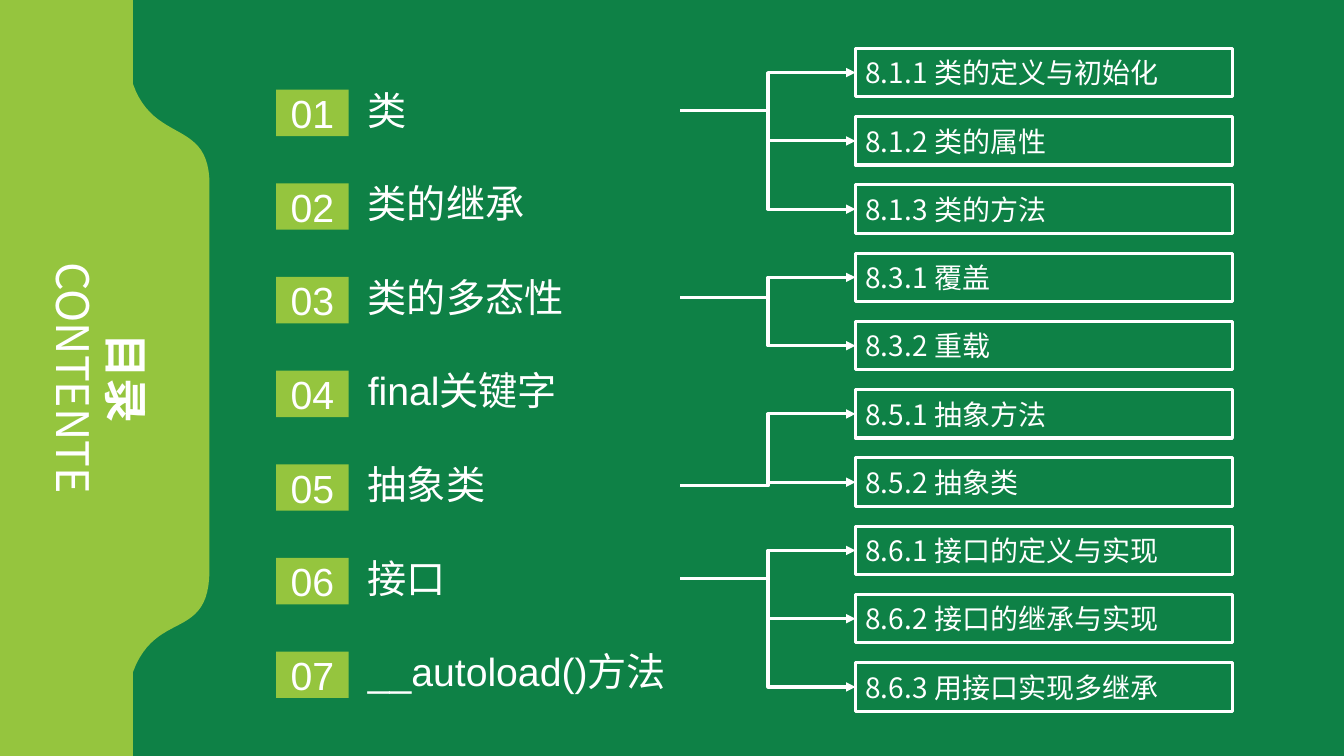
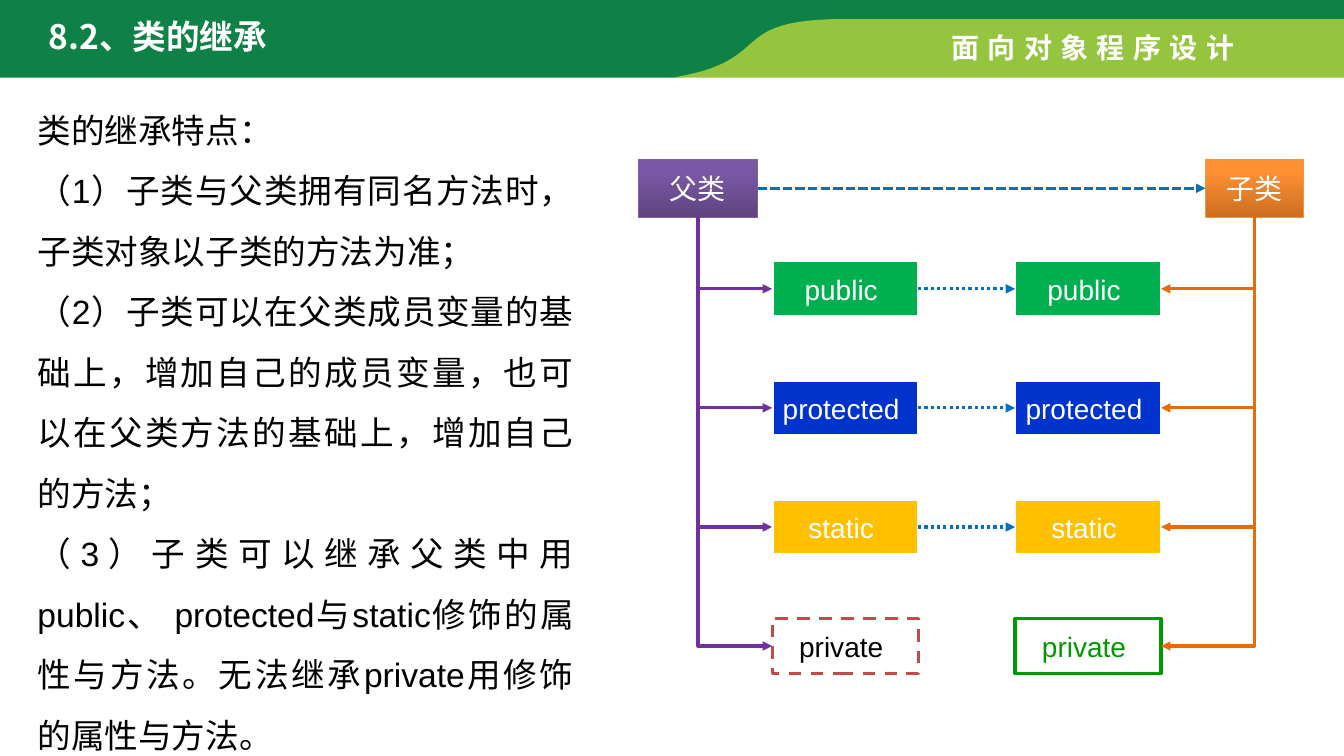
from lxml import etree
from pptx import Presentation
from pptx.dml.color import RGBColor
from pptx.enum.dml import MSO_LINE
from pptx.enum.shapes import MSO_CONNECTOR, MSO_SHAPE
from pptx.enum.text import MSO_ANCHOR, MSO_AUTO_SIZE, PP_ALIGN
from pptx.oxml.ns import qn
from pptx.util import Cm, Pt

# Shared look
DARK_GREEN = RGBColor(0x0E, 0x81, 0x46)
LIGHT_GREEN = RGBColor(0x95, 0xC5, 0x3E)
WHITE = RGBColor(0xFF, 0xFF, 0xFF)
BLACK = RGBColor(0x00, 0x00, 0x00)
GREEN = RGBColor(0x00, 0xB0, 0x50)
BLUE = RGBColor(0x00, 0x33, 0xCC)
YELLOW = RGBColor(0xFF, 0xC0, 0x00)
RED = RGBColor(0xBF, 0x4C, 0x48)
LEAF = RGBColor(0x00, 0x99, 0x00)
PURPLE = RGBColor(0x70, 0x30, 0xA0)
ORANGE = RGBColor(0xE4, 0x6C, 0x0A)
SKY = RGBColor(0x00, 0x70, 0xC0)
PARENT_GRADIENT = (RGBColor(0x5F, 0x44, 0x80), RGBColor(0x7B, 0x58, 0xA6))
PARENT_EDGE = RGBColor(0x7D, 0x60, 0xA0)
CHILD_GRADIENT = (RGBColor(0xCC, 0x6E, 0x20), RGBColor(0xFF, 0x90, 0x34))
CHILD_EDGE = RGBColor(0xF6, 0x92, 0x40)
LATIN_FONT = "Arial"
CHINESE_FONT = "Noto Sans CJK SC"

LEFT, CENTER, JUSTIFY = PP_ALIGN.LEFT, PP_ALIGN.CENTER, PP_ALIGN.JUSTIFY
TOP, MIDDLE = MSO_ANCHOR.TOP, MSO_ANCHOR.MIDDLE
NO_FIT = MSO_AUTO_SIZE.NONE
RECTANGLE = MSO_SHAPE.RECTANGLE
STRAIGHT, ELBOW = MSO_CONNECTOR.STRAIGHT, MSO_CONNECTOR.ELBOW
DASH, SHORT_DASH, DOTS = MSO_LINE.DASH, MSO_LINE.SQUARE_DOT, MSO_LINE.ROUND_DOT
SIDE_LEFT, SIDE_BOTTOM, SIDE_RIGHT = 1, 2, 3

SLIDE_WIDTH, SLIDE_HEIGHT = 33.87, 19.05

# Outlines in cm: a pair is a corner, six numbers are a Bézier curve
SIDE_BAND = [
    (0, 0), (3.35, 0), (3.35, 2.11), (3.89, 3.66, 5.31, 2.97, 5.28, 4.7),
    (5.28, 14.35), (5.28, 16.18, 3.94, 15.34, 3.35, 16.94),
    (3.35, SLIDE_HEIGHT), (0, SLIDE_HEIGHT),
]
HEADER_BAND = [
    (0, 0), (SLIDE_WIDTH, 0), (SLIDE_WIDTH, 0.61), (21.01, 0.61), (20.55, 0.71),
    (18.47, 1.12, 19.56, 1.96, 16.64, 1.96), (0, 1.96),
]
HEADER_ACCENT = [
    (21.31, 0.48), (SLIDE_WIDTH, 0.48), (SLIDE_WIDTH, 1.96), (16.94, 1.96),
    (19.63, 1.52, 18.21, 0.48, 21.31, 0.48),
]

# Contents slide: chapters with their sections
CHAPTERS = [
    ("类", ["8.1.1 类的定义与初始化", "8.1.2 类的属性", "8.1.3 类的方法"]),
    ("类的继承", []),
    ("类的多态性", ["8.3.1 覆盖", "8.3.2 重载"]),
    ("final关键字", []),
    ("抽象类", ["8.5.1 抽象方法", "8.5.2 抽象类"]),
    ("接口", ["8.6.1 接口的定义与实现", "8.6.2 接口的继承与实现", "8.6.3 用接口实现多继承"]),
    ("__autoload()方法", []),
]

# Inheritance slide
COURSE = "面向对象程序设计"
INHERITANCE_TITLE = "8.2、类的继承"
FEATURES = [
    "类的继承特点：",
    "（1）子类与父类拥有同名方法时，子类对象以子类的方法为准；",
    "（2）子类可以在父类成员变量的基础上，增加自己的成员变量，也可以在父类方法的基础上，增加自己的方法；",
    "（3）子类可以继承父类中用public、 protected与static修饰的属性与方法。无法继承private用修饰的属性与方法。",
]
# Name, fill, inherited
MEMBERS = [
    ("public", GREEN, True),
    ("protected", BLUE, True),
    ("static", YELLOW, True),
    ("private", None, False),
]
# Name, left, width, gradient, edge, member left, member side, branch colour,
# then edge, dash and text colour of the private member
CLASSES = [
    ("父类", 16.08, 3.02, PARENT_GRADIENT, PARENT_EDGE, 19.46, SIDE_LEFT, PURPLE,
     (RED, DASH, BLACK)),
    ("子类", 30.38, 2.46, CHILD_GRADIENT, CHILD_EDGE, 25.58, SIDE_RIGHT, ORANGE,
     (LEAF, None, LEAF)),
]


def cm_box(*lengths):
    return [Cm(length) for length in lengths]


def add_run(paragraph, text, size, color=WHITE, font=LATIN_FONT, bold=False):
    run = paragraph.add_run()
    run.text = text
    run.font.size, run.font.bold, run.font.name = Pt(size), bold, font
    run.font.color.rgb = color
    properties = run.font._element
    properties.set("lang", "zh-CN")
    etree.SubElement(properties, qn("a:ea")).set("typeface", font)
    return run


def place(placeholder, left, top, width, height):
    placeholder.left, placeholder.top, placeholder.width, placeholder.height = cm_box(
        left, top, width, height)
    frame = placeholder.text_frame
    frame.auto_size, frame.vertical_anchor, frame.word_wrap = NO_FIT, TOP, True
    return frame


def write_title(slide, box, lines, size, alignment, spacing=None):
    """Lines are (text, bold) pairs; the title goes in front of the bands."""
    title = slide.shapes.title
    frame = place(title, *box)
    for index, (text, bold) in enumerate(lines):
        paragraph = frame.add_paragraph() if index else frame.paragraphs[0]
        paragraph.alignment = alignment
        paragraph.line_spacing = spacing
        add_run(paragraph, text, size, font=CHINESE_FONT, bold=bold)
    slide.shapes._spTree.append(title._element)
    return title


def add_band(slide, outline, color, steps=24):
    points = []
    for node in outline:
        if len(node) == 2:
            points.append(node)
            continue
        curve = [points[-1], node[0:2], node[2:4], node[4:6]]
        for step in range(1, steps + 1):
            t = step / steps
            weights = ((1 - t) ** 3, 3 * t * (1 - t) ** 2, 3 * t * t * (1 - t), t ** 3)
            points.append(tuple(
                sum(weight * point[axis] for weight, point in zip(weights, curve))
                for axis in (0, 1)))
    corners = [cm_box(*point) for point in points]
    builder = slide.shapes.build_freeform(*corners[0])
    builder.add_line_segments(corners[1:], close=True)
    band = builder.convert_to_shape()
    band.shadow.inherit = False
    band.fill.solid()
    band.fill.fore_color.rgb = color
    band.line.fill.background()


def add_box(slide, box, text, size, fill=None, edge=None, weight=2.25, dash=None,
            color=WHITE, font=LATIN_FONT, alignment=CENTER):
    """Fill is a colour, a (bottom, top) gradient or None."""
    shape = slide.shapes.add_shape(RECTANGLE, *cm_box(*box))
    shape.shadow.inherit = False
    if fill is None:
        shape.fill.background()
    elif isinstance(fill, RGBColor):
        shape.fill.solid()
        shape.fill.fore_color.rgb = fill
    else:
        shape.fill.gradient()
        shape.fill.gradient_angle = 90
        for stop, stop_color, position in zip(shape.fill.gradient_stops, fill, (0, 0.8)):
            stop.color.rgb, stop.position = stop_color, position
    if edge is None:
        shape.line.fill.background()
    else:
        shape.line.color.rgb = edge
        shape.line.width = Pt(weight)
        shape.line.dash_style = dash
    frame = shape.text_frame
    frame.vertical_anchor, frame.word_wrap = MIDDLE, True
    frame.paragraphs[0].alignment = alignment
    add_run(frame.paragraphs[0], text, size, color, font)
    return shape


def add_text(slide, box, text, size, wrap=True, bold=False):
    frame_shape = slide.shapes.add_textbox(*cm_box(*box))
    frame_shape.text_frame.word_wrap = wrap
    paragraph = frame_shape.text_frame.paragraphs[0]
    return frame_shape, paragraph, add_run(paragraph, text, size, bold=bold)


def join(slide, kind, begin, end, color, dash=None, arrow="tailEnd", corner=False):
    """Begin and end are (shape, side) pairs; a corner makes a single bend."""
    connector = slide.shapes.add_connector(kind, 0, 0, 0, 0)
    connector.begin_connect(*begin)
    connector.end_connect(*end)
    connector.line.color.rgb = color
    connector.line.width = Pt(2.25)
    connector.line.dash_style = dash
    properties = connector._element.spPr
    if corner:
        properties.find(qn("a:prstGeom")).set("prst", "bentConnector2")
    line = properties.find(qn("a:ln"))
    etree.SubElement(line, qn("a:" + arrow)).set("type", "triangle")
    etree.SubElement(properties, qn("a:effectLst"))


def build_contents(presentation):
    slide = presentation.slides.add_slide(presentation.slide_layouts[5])
    slide.background.fill.solid()
    slide.background.fill.fore_color.rgb = DARK_GREEN
    add_band(slide, SIDE_BAND, LIGHT_GREEN)
    title = write_title(slide, (-1.13, 8.03, 7.26, 3), [("目录", True), ("CONTENTE", False)],
                        32, CENTER, Pt(38))
    title.rotation = 90

    # Chapters on the left, sections stacked on the right
    section_top = 1.22
    for index, (chapter, sections) in enumerate(CHAPTERS):
        offset = index * 2.36
        add_box(slide, (6.96, 2.26 + offset, 1.83, 1.17), f"{index + 1:02}", 28, LIGHT_GREEN)
        label, paragraph, _ = add_text(slide, (9.02, 2.06 + offset, 8.13, 1.45), chapter, 28)
        paragraph.line_spacing = Pt(33)
        for section in sections:
            box = add_box(slide, (21.56, section_top, 9.5, 1.22), section, 20,
                          edge=WHITE, font=CHINESE_FONT, alignment=LEFT)
            join(slide, ELBOW, (label, SIDE_RIGHT), (box, SIDE_LEFT), WHITE)
            section_top += 1.72


def build_inheritance(presentation):
    slide = presentation.slides.add_slide(presentation.slide_layouts[1])
    add_band(slide, HEADER_BAND, DARK_GREEN)
    add_band(slide, HEADER_ACCENT, LIGHT_GREEN)
    write_title(slide, (0.97, 0.28, 12.22, 1.27), [(INHERITANCE_TITLE, True)], 24, LEFT)
    _, _, course_run = add_text(slide, (23.72, 0.64, 7.92, 1.12), COURSE, 20, False, True)
    course_run.font._element.set("spc", "600")

    # Features
    frame = place(slide.placeholders[1], 0.69, 2.13, 14.02, 17.2)
    for index, feature in enumerate(FEATURES):
        paragraph = frame.add_paragraph() if index else frame.paragraphs[0]
        properties = paragraph._p.get_or_add_pPr()
        properties.set("marL", "0")
        properties.set("indent", "0")
        etree.SubElement(properties, qn("a:buNone"))
        paragraph.alignment = JUSTIFY
        paragraph.line_spacing, paragraph.space_before = Pt(43.2), Pt(0)
        add_run(paragraph, feature, 24, BLACK)

    # Each class with its members
    class_boxes, member_columns = [], []
    for (name, left, width, gradient, class_edge, member_left, side, branch,
         private_style) in CLASSES:
        class_box = add_box(slide, (left, 4.01, width, 1.47), name, 20, gradient,
                            class_edge, 0.75)
        class_boxes.append(class_box)
        column = []
        for row, (member, fill, inherited) in enumerate(MEMBERS):
            edge, dash, color = (WHITE, None, WHITE) if inherited else private_style
            box = add_box(slide, (member_left, 6.58 + row * 3, 3.68, 1.4), member, 20, fill,
                          edge, 2 if inherited else 2.25, dash, color)
            box.text_frame.margin_left, box.text_frame.margin_right = Cm(0), Cm(0.2)
            join(slide, ELBOW, (box, side), (class_box, SIDE_BOTTOM), branch,
                 arrow="headEnd", corner=True)
            column.append(box)
        member_columns.append(column)

    # Inheritance arrows from parent to child
    parent, child = class_boxes
    join(slide, STRAIGHT, (parent, SIDE_RIGHT), (child, SIDE_LEFT), SKY, SHORT_DASH)
    for (_, _, inherited), source, target in zip(MEMBERS, *member_columns):
        if inherited:
            join(slide, STRAIGHT, (source, SIDE_RIGHT), (target, SIDE_LEFT), SKY, DOTS)


def main():
    presentation = Presentation()
    presentation.slide_width, presentation.slide_height = Cm(SLIDE_WIDTH), Cm(SLIDE_HEIGHT)
    build_contents(presentation)
    build_inheritance(presentation)
    presentation.save("out.pptx")


if __name__ == "__main__":
    main()
